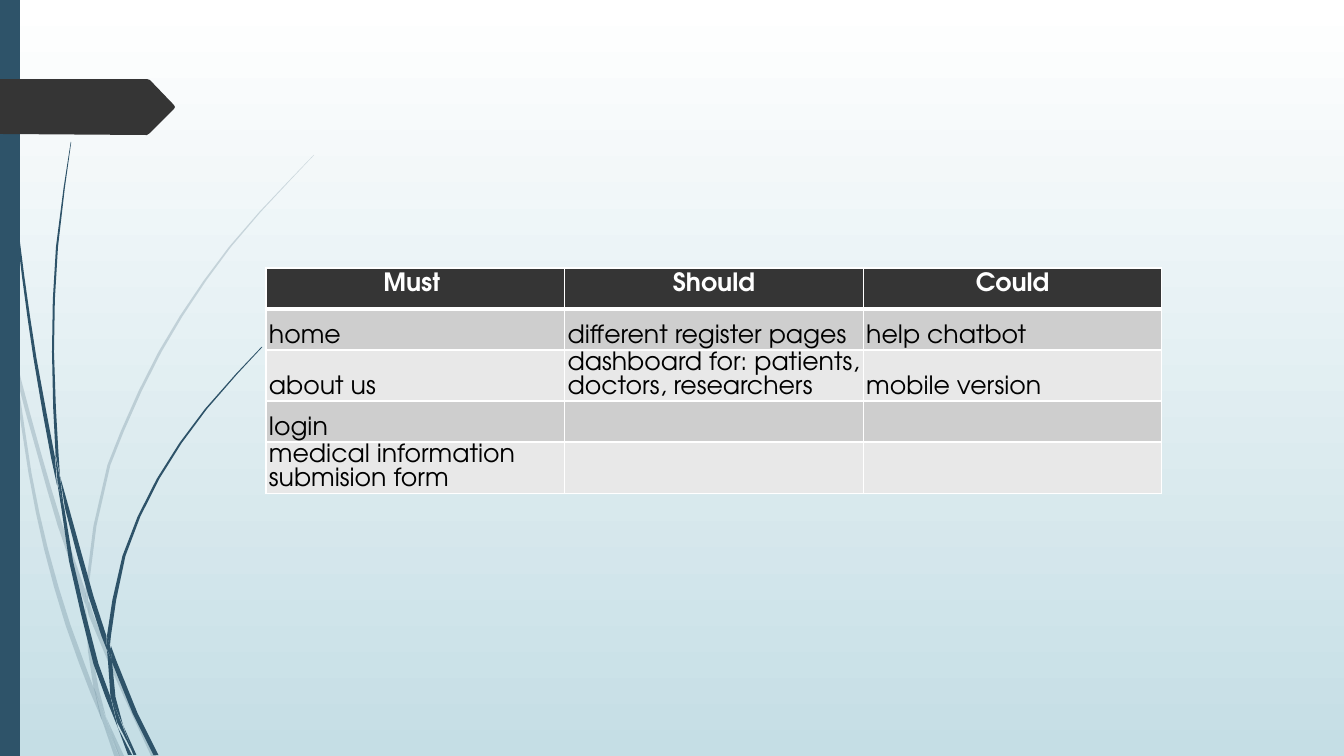
import math
from dataclasses import dataclass

from lxml import etree
from pptx import Presentation
from pptx import util as u
from pptx.dml.color import RGBColor
from pptx.enum import shapes, text
from pptx.oxml import ns

SCALE = 914400 / 100.8  # EMU per pixel


@dataclass(frozen=True)
class Theme:
    font: str = "TeX Gyre Adventor"
    size: int = 18
    sky_top: str = "FFFFFF"
    sky_bottom: str = "C5DEE5"
    accent: str = "2E5369"
    dark: str = "353535"
    bands: tuple = ("CECECE", "E8E8E8")
    white: str = "FFFFFF"
    black: str = "000000"
    faded_opacity: int = 20


THEME = Theme()

# Grass blades: spine points as (x, y, blade width)
FADED_BLADES = [
    [(2, 284, 4), (11, 353, 0)],
    [(14, 348, 0), (19, 379, 4), (39, 453, 4), (60, 525, 5), (83, 591, 5), (85, 604, 0)],
    [(89, 601, 0), (91, 615, 5), (112, 665, 5), (154, 757, 5)],
    [(106, 717, 0), (122, 757, 5)],
    [(11, 353, 0), (16, 379, 3), (30, 473, 3), (46, 549, 4), (68, 625, 5),
     (93, 693, 5), (102, 720, 0)],
    [(85, 604, 0), (90, 651, 4), (96, 688, 5), (106, 717, 0)],
    [(88, 601, 0), (87, 589, 3), (95, 526, 3), (109, 465, 3), (160, 352, 3),
     (230, 247, 2), (314, 155, 0.5)],
    [(102, 720, 0), (117, 757, 5)],
    [(85, 591, 0), (87, 603, 4), (89, 615, 0)],
    [(94, 688, 0), (103, 717, 5), (120, 757, 0)],
]
DARK_BLADES = [
    [(4, 0, 1), (7, 110, 1), (18, 234, 2), (35, 358, 3), (53, 457, 4), (57, 485, 0)],
    [(60, 476, 0), (67, 508, 4), (91, 596, 5), (104, 636, 5), (107, 650, 0)],
    [(111, 646, 0), (114, 661, 5), (135, 713, 5), (156, 755, 5)],
    [(57, 481, 0), (63, 509, 3), (71, 561, 4), (96, 664, 5), (108, 697, 5), (118, 728, 0)],
    [(71, 142, 0.5), (57, 247, 2), (53, 352, 2), (57, 453, 3), (60, 476, 0)],
    [(123, 725, 0), (135, 755, 3)],
    [(55, 453, 0), (59, 481, 3), (64, 509, 0)],
    [(110, 646, 0), (109, 636, 4), (124, 556, 3), (158, 479, 2.5), (206, 409, 2),
     (262, 347, 1)],
    [(118, 728, 0), (130, 755, 4)],
    [(107, 650, 0), (110, 661, 4), (113, 697, 5), (123, 725, 0)],
    [(107, 636, 0), (109, 649, 4), (112, 661, 0)],
    [(111, 697, 0), (119, 722, 4), (134, 755, 0)],
]
TAG = [(0, 79), (147, 79), (150, 80), (174, 105), (175, 107), (174, 109),
       (150, 133), (147, 135), (0, 134)]

REQUIREMENTS = [
    ["Must ", "Should", "Could"],
    ["home", "different register pages", "help chatbot"],
    ["about us", "dashboard for: patients, doctors, researchers", "mobile version"],
    ["login", "", ""],
    ["medical information submision form", "", ""],
]


def px(pixels):
    return u.Emu(round(pixels * SCALE))


def rgb(code):
    return RGBColor.from_string(code)


def paint(shape, color, opacity=100):
    shape.shadow.inherit = False
    shape.fill.solid()
    shape.fill.fore_color.rgb = rgb(color)
    shape.line.fill.background()
    if opacity < 100:
        tint = shape.fill._xPr.find(".//" + ns.qn("a:srgbClr"))
        etree.SubElement(tint, ns.qn("a:alpha"), val=str(opacity * 1000))


def add_outline(parent, points, color, opacity=100):
    first, *rest = [(px(x), px(y)) for x, y in points]
    builder = parent.build_freeform(*first)
    builder.add_line_segments(rest)
    paint(builder.convert_to_shape(), color, opacity)


def smooth(points, stride=45):
    """Catmull-Rom curve through the points, with a vertex about every stride."""
    padded = [points[0], *points, points[-1]]
    curve = []
    for quad in zip(padded, padded[1:], padded[2:], padded[3:]):
        steps = max(1, round(math.dist(quad[1][:2], quad[2][:2]) / stride))
        for step in range(steps):
            t = step / steps
            curve.append([
                b + t * (c - a) / 2 + t**2 * (2 * a - 5 * b + 4 * c - d) / 2
                + t**3 * (3 * b - a - 3 * c + d) / 2
                for a, b, c, d in zip(*quad)])
    return curve + [points[-1]]


def add_blades(slide, blades, opacity=100):
    tuft = slide.shapes.add_group_shape()
    for blade in blades:
        spine = smooth(blade)
        left = [(x - w / 2, y) for x, y, w in spine]
        right = [(x + w / 2, y) for x, y, w in reversed(spine) if w]
        add_outline(tuft.shapes, left + right, THEME.accent, opacity)


def write(frame, words, color=THEME.black, bold=False, align=text.PP_ALIGN.LEFT):
    paragraph = frame.paragraphs[0]
    paragraph.alignment = align
    run = paragraph.add_run()
    run.text = words
    run.font.name = THEME.font
    run.font.size = u.Pt(THEME.size)
    run.font.bold = bold
    run.font.color.rgb = rgb(color)


def set_borders(cell, **widths):
    props = cell._tc.get_or_add_tcPr()
    for position, (side, points) in enumerate(widths.items()):
        edge = etree.Element(ns.qn("a:ln" + side), w=str(u.Pt(points)))
        fill = etree.SubElement(edge, ns.qn("a:solidFill"))
        etree.SubElement(fill, ns.qn("a:srgbClr"), val=THEME.white)
        props.insert(position, edge)


def add_requirements(slide, left, top, width, row_height):
    rows, columns = len(REQUIREMENTS), len(REQUIREMENTS[0])
    table = slide.shapes.add_table(rows, columns, px(left), px(top), px(width),
                                   px(row_height * rows)).table
    for r, row in enumerate(REQUIREMENTS):
        for c, words in enumerate(row):
            cell = table.cell(r, c)
            header = r == 0
            cell.fill.solid()
            cell.fill.fore_color.rgb = rgb(THEME.dark if header else THEME.bands[(r - 1) % 2])
            set_borders(cell, L=1, R=1, T=3 if r == 1 else 1, B=3 if header else 1)
            if header:
                write(cell.text_frame, words, color=THEME.white, bold=True,
                      align=text.PP_ALIGN.CENTER)
            elif words:
                cell.vertical_anchor = text.MSO_ANCHOR.BOTTOM
                cell.margin_left = cell.margin_right = px(3)
                cell.margin_top = cell.margin_bottom = px(2)
                write(cell.text_frame, words)


def set_sky(slide):
    fill = slide.background.fill
    fill.gradient()
    fill.gradient_angle = 270
    for stop, color in zip(fill.gradient_stops, (THEME.sky_top, THEME.sky_bottom)):
        stop.color.rgb = rgb(color)


def main():
    deck = Presentation()
    deck.slide_width, deck.slide_height = px(1344), px(756)
    slide = deck.slides.add_slide(deck.slide_layouts[6])

    # Backdrop
    set_sky(slide)
    add_blades(slide, FADED_BLADES, THEME.faded_opacity)
    add_blades(slide, DARK_BLADES)
    side_bar = slide.shapes.add_shape(shapes.MSO_SHAPE.RECTANGLE, 0, 0, px(20), px(756))
    paint(side_bar, THEME.accent)
    add_outline(slide.shapes, TAG, THEME.dark)

    # Priorities
    add_requirements(slide, 266, 268, 896, 41)

    deck.save("out.pptx")


main()
